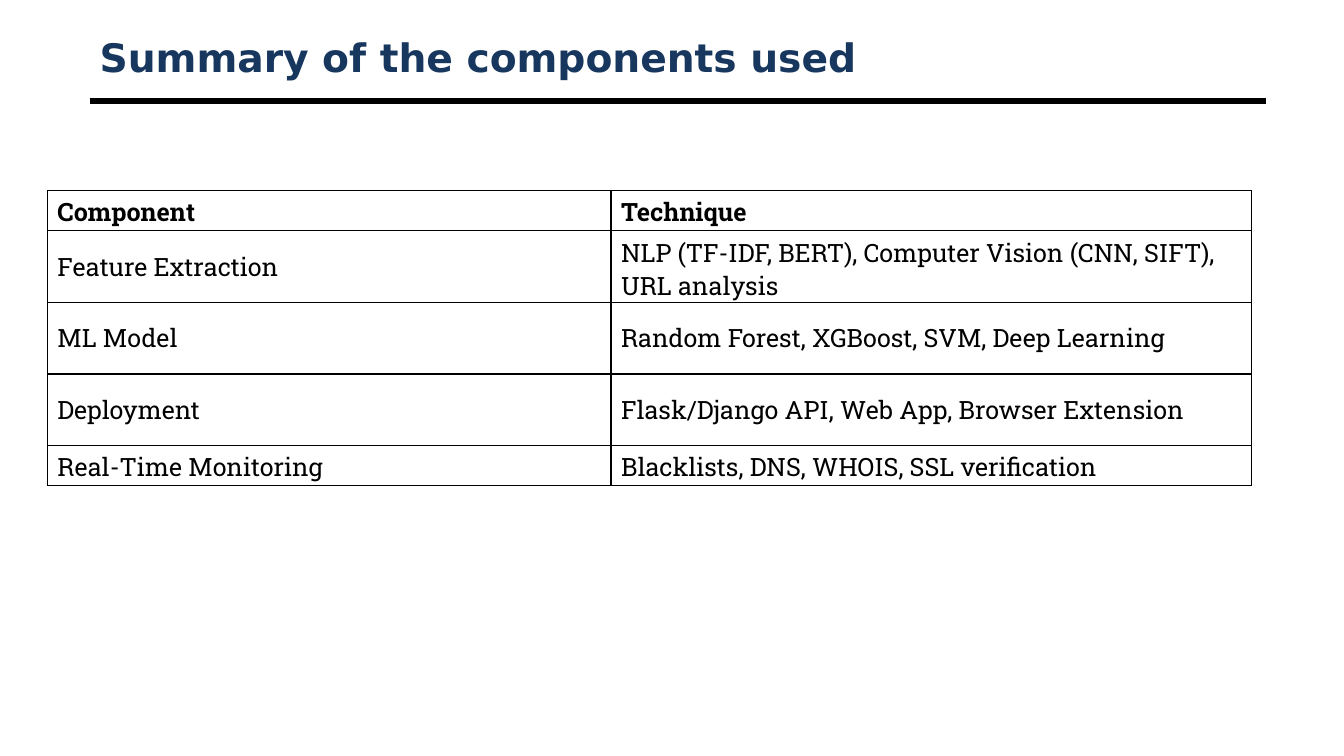
from dataclasses import dataclass

import lxml.etree
import pptx
import pptx.dml.color
import pptx.enum.shapes
import pptx.enum.text
import pptx.oxml.ns
import pptx.slide
import pptx.table
import pptx.text.text
import pptx.util
from pptx.util import Inches


@dataclass(frozen=True)
class TextStyle:
    font: str
    size: float
    color: str
    bold: bool = False


@dataclass(frozen=True)
class Theme:
    title: TextStyle = TextStyle("DejaVu Sans", 28, "17375E", True)
    header: TextStyle = TextStyle("Roboto Slab", 18, "000000", True)
    body: TextStyle = TextStyle("Roboto Slab", 18, "000000")
    line_color: str = "000000"
    rule_width: float = 4.5
    border_width: float = 1


@dataclass(frozen=True)
class ComponentRow:
    component: str
    technique: str
    height: float
    style: TextStyle


THEME = Theme()
CONTENT_LEFT, CONTENT_WIDTH = 0.89, 11.67
COLUMN_WIDTHS = (5.59, 6.35)
ROWS = (
    ComponentRow("Component", "Technique", 0.4, THEME.header),
    ComponentRow("Feature Extraction",
                 "NLP (TF-IDF, BERT), Computer Vision (CNN, SIFT), URL analysis",
                 0.71, THEME.body),
    ComponentRow("ML Model", "Random Forest, XGBoost, SVM, Deep Learning", 0.71, THEME.body),
    ComponentRow("Deployment", "Flask/Django API, Web App, Browser Extension",
                 0.71, THEME.body),
    ComponentRow("Real-Time Monitoring", "Blacklists, DNS, WHOIS, SSL verification",
                 0.4, THEME.body),
)


def set_text(text_frame: pptx.text.text.TextFrame, text: str, style: TextStyle) -> None:
    text_frame.text = text
    text_frame.word_wrap = True
    font = text_frame.paragraphs[0].runs[0].font
    font.name = style.font
    font.size = pptx.util.Pt(style.size)
    font.bold = style.bold
    font.color.rgb = pptx.dml.color.RGBColor.from_string(style.color)


def add_title(slide: pptx.slide.Slide, text: str) -> None:
    title = slide.shapes.add_textbox(
        Inches(CONTENT_LEFT), Inches(0.3), Inches(CONTENT_WIDTH), Inches(0.53))
    set_text(title.text_frame, text, THEME.title)
    title.text_frame.vertical_anchor = pptx.enum.text.MSO_ANCHOR.MIDDLE


def add_title_rule(slide: pptx.slide.Slide) -> None:
    rule = slide.shapes.add_connector(
        pptx.enum.shapes.MSO_CONNECTOR.STRAIGHT,
        Inches(CONTENT_LEFT), Inches(1), Inches(CONTENT_LEFT + CONTENT_WIDTH), Inches(1))
    rule.line.color.rgb = pptx.dml.color.RGBColor.from_string(THEME.line_color)
    rule.line.width = pptx.util.Pt(THEME.rule_width)
    lxml.etree.SubElement(rule.element.spPr, pptx.oxml.ns.qn("a:effectLst"))


def set_borders(cell: pptx.table._Cell) -> None:
    """Draw all four sides; call before setting the fill, which must follow them in the XML."""
    qualified = pptx.oxml.ns.qn
    properties = cell._tc.get_or_add_tcPr()
    for side in ("L", "R", "T", "B"):
        border = lxml.etree.SubElement(
            properties, qualified(f"a:ln{side}"), w=str(pptx.util.Pt(THEME.border_width)))
        fill = lxml.etree.SubElement(border, qualified("a:solidFill"))
        lxml.etree.SubElement(fill, qualified("a:srgbClr"), val=THEME.line_color)


def add_component_table(slide: pptx.slide.Slide) -> None:
    table = slide.shapes.add_table(
        len(ROWS), len(COLUMN_WIDTHS), Inches(0.47), Inches(1.89),
        Inches(sum(COLUMN_WIDTHS)), Inches(sum(row.height for row in ROWS))).table
    table.horz_banding = False
    for column, width in zip(table.columns, COLUMN_WIDTHS):
        column.width = Inches(width)
    for table_row, row in zip(table.rows, ROWS):
        table_row.height = Inches(row.height)
        for cell, text in zip(table_row.cells, (row.component, row.technique)):
            set_text(cell.text_frame, text, row.style)
            cell.vertical_anchor = pptx.enum.text.MSO_ANCHOR.MIDDLE
            set_borders(cell)
            cell.fill.background()


def main() -> None:
    presentation = pptx.Presentation()
    presentation.slide_width = Inches(13.33)
    presentation.slide_height = Inches(7.5)
    slide = presentation.slides.add_slide(presentation.slide_layouts[6])
    add_title_rule(slide)
    add_title(slide, "Summary of the components used")
    add_component_table(slide)
    presentation.save("out.pptx")


if __name__ == "__main__":
    main()
